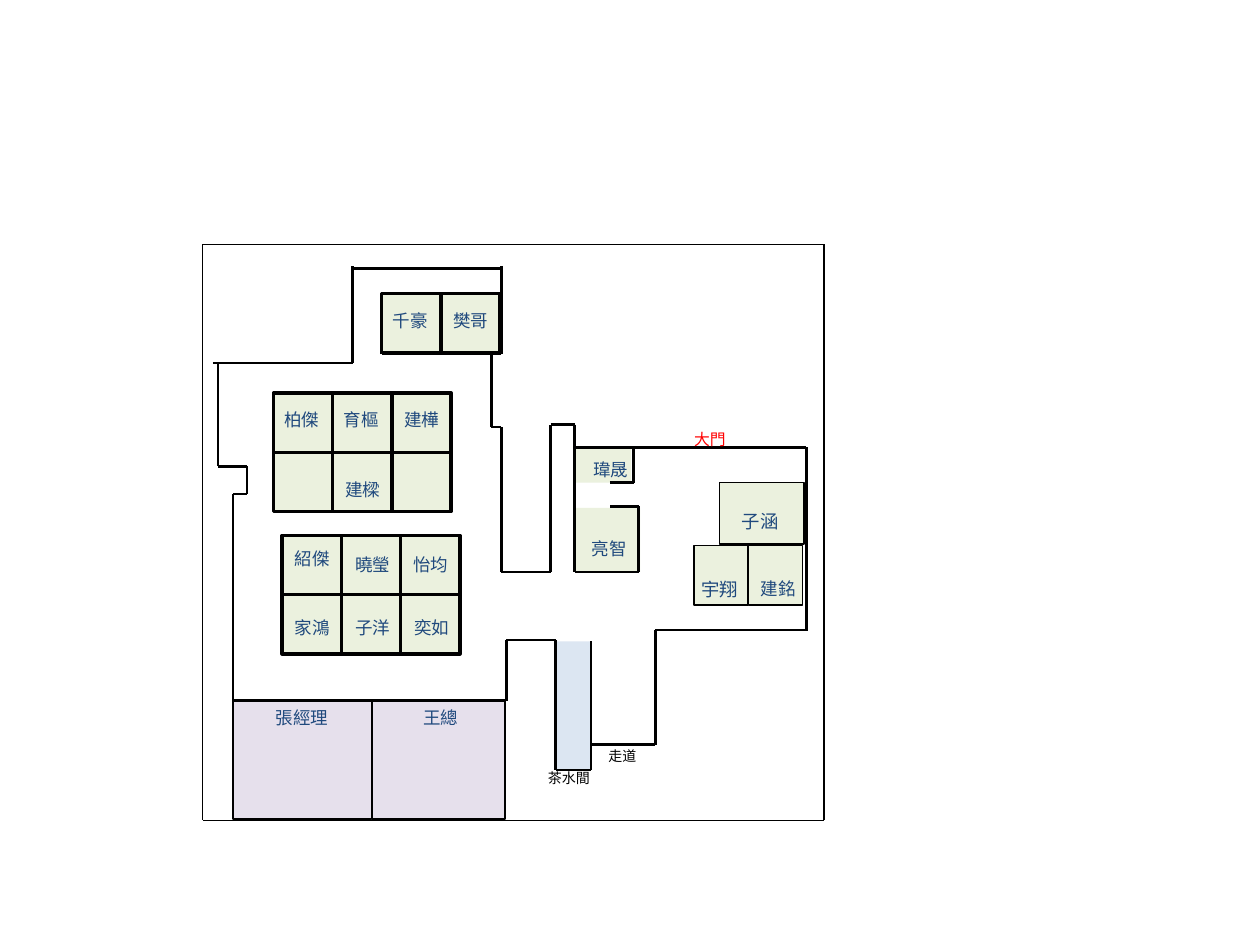
import pptx
import pptx.dml.color
import pptx.enum.shapes
import pptx.enum.text
import pptx.oxml.ns
import pptx.util
from lxml import etree
from pptx.util import Inches

FONT = "Noto Sans CJK SC"
INK, NAVY, RED = "000000", "1F497D", "FF0000"
GREEN, BLUE, LILAC = "EBF1DE", "DCE6F2", "E6E0EC"
DESK = 0.47

# left, top, width, height, fill, line width (0 for none)
ROOMS = [
    (4.41, 5.09, 0.28, 1.02, BLUE, 0),
    (4.57, 3.55, 0.44, 0.28, GREEN, 0),
    (4.57, 4.03, 0.51, 0.51, GREEN, 0),
    (1.85, 5.56, 1.1, 0.94, LILAC, 1),
    (2.95, 5.56, 1.06, 0.94, LILAC, 1),
    (5.51, 4.33, 0.43, 0.47, GREEN, 1),
    (5.94, 4.33, 0.43, 0.47, GREEN, 1),
    (5.71, 3.83, 0.67, 0.49, GREEN, 1),
]

# left, top, columns, rows
DESKS = [(2.17, 3.12, 3, 2), (2.24, 4.25, 3, 2), (3.03, 2.33, 2, 1)]

FRAME = [(1.61, 1.94), (6.54, 1.94), (6.54, 6.51), (1.61, 6.51), (1.61, 1.94)]

# each wall runs through its corners in turn
WALLS = [
    [(1.69, 2.88), (2.8, 2.88), (2.8, 2.11)],
    [(2.8, 2.13), (3.98, 2.13)],
    [(3.98, 2.11), (3.98, 2.81), (3.03, 2.81), (3.03, 2.33)],
    [(1.73, 2.88), (1.73, 3.7), (1.96, 3.7), (1.96, 3.92), (1.85, 3.92),
     (1.85, 5.56), (4.02, 5.56), (4.02, 5.08), (4.41, 5.08), (4.41, 6.11),
     (4.69, 6.11), (4.69, 5.09)],
    [(4.69, 5.91), (5.2, 5.91), (5.2, 5), (6.41, 5)],
    [(3.9, 2.81), (3.9, 3.39), (3.98, 3.39), (3.98, 4.54), (4.37, 4.54),
     (4.37, 3.37), (4.56, 3.37), (4.56, 4.54), (5.07, 4.54), (5.07, 4.02),
     (4.84, 4.02)],
    [(4.84, 3.83), (5.03, 3.83), (5.03, 3.55)],
    [(4.57, 3.55), (6.4, 3.55), (6.4, 5)],
]

# text, left, top
NAMES = [
    ("千豪", 3.02, 2.41), ("樊哥", 3.5, 2.41),
    ("柏傑", 2.16, 3.2), ("育樞", 2.63, 3.2), ("建樺", 3.11, 3.2),
    ("建樑", 2.64, 3.75),
    ("紹傑", 2.24, 4.3), ("曉瑩", 2.72, 4.35), ("怡均", 3.18, 4.35),
    ("家鴻", 2.24, 4.85), ("子洋", 2.72, 4.85), ("奕如", 3.19, 4.85),
    ("瑋晟", 4.61, 3.59), ("亮智", 4.6, 4.22), ("建銘", 5.94, 4.54),
    ("張經理", 2.09, 5.56), ("王總", 3.26, 5.56),
]
LARGE = [("宇翔", 5.47, 4.54), ("子涵", 5.79, 4)]
DOOR = [("大門", 5.41, 3.36)]
NOTES = [("茶水間", 4.25, 6.06), ("走道", 4.73, 5.88)]
LABELS = [(NAMES, 10, NAVY), (LARGE, 10.5, NAVY), (DOOR, 9, RED), (NOTES, 8, INK)]
HEIGHTS = {8: 0.24, 9: 0.25, 10: 0.27, 10.5: 0.29}


def color(code):
    return pptx.dml.color.RGBColor.from_string(code)


def stroke(line, width):
    line.color.rgb = color(INK)
    line.width = pptx.util.Pt(width)


def add_box(slide, left, top, width, height, fill, weight):
    box = slide.shapes.add_shape(
        pptx.enum.shapes.MSO_SHAPE.RECTANGLE,
        Inches(left), Inches(top), Inches(width), Inches(height))
    box.shadow.inherit = False
    box.fill.solid()
    box.fill.fore_color.rgb = color(fill)
    if weight:
        stroke(box.line, weight)
    else:
        box.line.fill.background()


def add_path(slide, points, width):
    """Join each point to the next with a straight line."""
    for (x1, y1), (x2, y2) in zip(points, points[1:]):
        line = slide.shapes.add_connector(
            pptx.enum.shapes.MSO_CONNECTOR.STRAIGHT,
            Inches(x1), Inches(y1), Inches(x2), Inches(y2))
        stroke(line.line, width)
        etree.SubElement(line._element.spPr, pptx.oxml.ns.qn("a:effectLst"))


def add_text(slide, text, left, top, size=10, ink=NAVY):
    """Add a label whose box fits its full-width characters and insets."""
    width = len(text) * size / 72 + 0.2
    box = slide.shapes.add_textbox(
        Inches(left), Inches(top), Inches(width), Inches(HEIGHTS[size]))
    frame = box.text_frame
    frame.word_wrap = False
    frame.auto_size = pptx.enum.text.MSO_AUTO_SIZE.SHAPE_TO_FIT_TEXT
    run = frame.paragraphs[0].add_run()
    run.text = text
    run.font.size = pptx.util.Pt(size)
    run.font.color.rgb = color(ink)
    run.font.name = FONT
    east = etree.SubElement(run.font._element, pptx.oxml.ns.qn("a:ea"))
    east.set("typeface", FONT)


def main():
    deck = pptx.Presentation()
    deck.slide_width, deck.slide_height = Inches(10), Inches(7.5)
    slide = deck.slides.add_slide(deck.slide_layouts[6])

    add_path(slide, FRAME, 0.75)
    for room in ROOMS:
        add_box(slide, *room)
    for left, top, cols, rows in DESKS:
        for row in range(rows):
            for col in range(cols):
                add_box(slide, left + col * DESK, top + row * DESK,
                        DESK, DESK, GREEN, 2)
    for wall in WALLS:
        add_path(slide, wall, 1.5)
    for group, size, ink in LABELS:
        for text, left, top in group:
            add_text(slide, text, left, top, size=size, ink=ink)

    deck.save("out.pptx")


if __name__ == "__main__":
    main()
